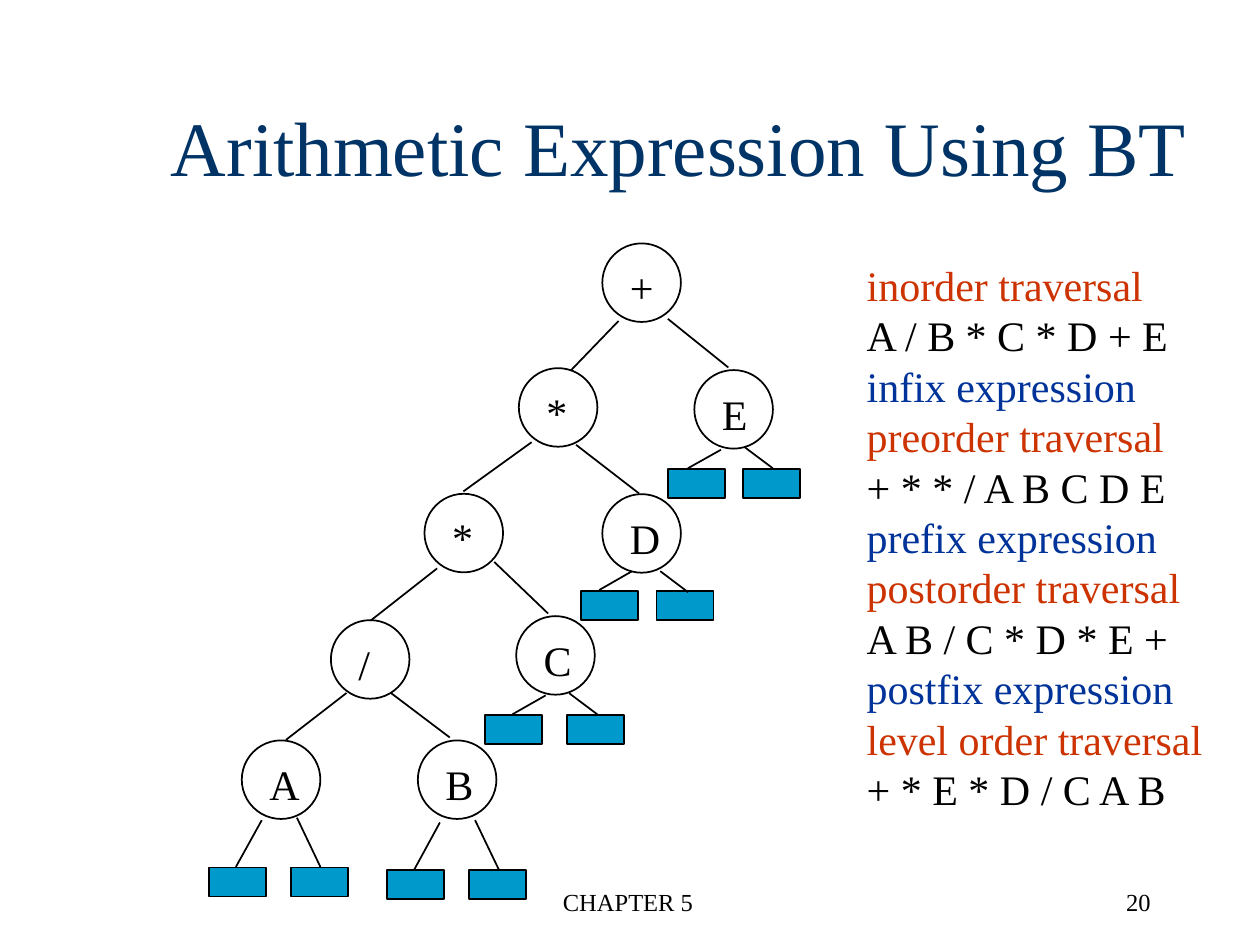
from dataclasses import dataclass

import pptx
import pptx.dml.color
import pptx.enum.shapes
import pptx.enum.text
import pptx.oxml.ns
import pptx.util
from lxml import etree

Pt = pptx.util.Pt
Align = pptx.enum.text.PP_ALIGN
Shape = pptx.enum.shapes.MSO_SHAPE
FONT = "Times New Roman"
COLORS = {
    "title": "003366",
    "order": "CC3300",
    "text": "000000",
    "form": "003399",
    "leaf": "0099CC",
    "line": "000000",
}
NODE = 44.9  # diameter of a node
LEAF = (32.6, 16.6)
PITCH = 28.8  # line height of the 24 pt text

Edge = tuple[float, float, float, float]  # x and y of both ends


@dataclass
class Node:
    label: str
    x: float
    y: float


@dataclass
class Pair:
    """Two empty leaves and the twigs that lead to them."""
    x: float
    y: float
    step: float
    twigs: tuple[Edge, Edge]


NODES = [
    Node("+", 344.2, 139.1),
    Node("*", 296.5, 210.4),
    Node("*", 242.6, 282.2),
    Node("/", 189.1, 354.4),
    Node("A", 138.2, 423.1),
    Node("E", 396.8, 211.5),
    Node("D", 344.2, 282.4),
    Node("C", 295.0, 352.1),
    Node("B", 238.8, 423.1),
]
EDGES: list[Edge] = [
    (353.5, 183.4, 326.2, 211.7),
    (303.8, 252.7, 264.8, 280.8),
    (249.8, 324.8, 211.7, 354.7),
    (198, 396, 163.4, 422.8),
    (381.6, 182.2, 416.2, 210),
    (329.2, 254.2, 365.2, 282),
    (282.4, 321.1, 313.2, 350.6),
    (223.4, 396, 257, 421.4),
]
PAIRS = [
    Pair(119.4, 495.7, 46.8, ((149.6, 468.7, 134.8, 495.4), (169.7, 467.3, 183.1, 495.4))),
    Pair(221.2, 497.1, 46.8, ((251.4, 470, 236.8, 496.8), (271.5, 468.7, 285, 496.8))),
    Pair(277.3, 408.6, 46.8, ((311.8, 397.4, 292.8, 408.2), (325.2, 396.1, 341.3, 408.2))),
    Pair(331.9, 337.7, 43.2, ((361.2, 326.4, 342.4, 337.2), (377.3, 326.4, 393.2, 338.4))),
    Pair(381.6, 267.9, 43.2, ((412, 257, 393.1, 267.6), (425.5, 255.5, 441.6, 267.6))),
]
LINES = [
    ("order", "inorder traversal"),
    ("text", "A / B * C * D + E"),
    ("form", "infix expression"),
    ("order", "preorder traversal"),
    ("text", "+ * * / A B C D E"),
    ("form", "prefix expression"),
    ("order", "postorder traversal"),
    ("text", "A B / C * D * E +"),
    ("form", "postfix expression"),
    ("order", "level order traversal"),
    ("text", "+ * E * D / C A B"),
]


def color(name: str) -> pptx.dml.color.RGBColor:
    return pptx.dml.color.RGBColor.from_string(COLORS[name])


def place(shape, x: float, y: float, w: float, h: float) -> None:
    shape.left, shape.top, shape.width, shape.height = Pt(x), Pt(y), Pt(w), Pt(h)


def write(para, text: str, size: float, ink: str) -> None:
    run = para.add_run()
    run.text = text
    run.font.name = FONT
    run.font.size = Pt(size)
    run.font.color.rgb = color(ink)


def label(slide, text: str, x: float, y: float, w: float, size: float, align):
    """Add a one-line text box and return its paragraph."""
    frame = slide.shapes.add_textbox(Pt(x), Pt(y), Pt(w), Pt(36)).text_frame
    frame.word_wrap = True
    para = frame.paragraphs[0]
    para.alignment = align
    write(para, text, size, "text")
    return para


def outline(slide, kind, x: float, y: float, w: float, h: float):
    shape = slide.shapes.add_shape(kind, Pt(x), Pt(y), Pt(w), Pt(h))
    shape.shadow.inherit = False
    shape.fill.background()
    shape.line.color.rgb = color("line")
    shape.line.width = Pt(1)
    return shape


def draw_edge(slide, edge: Edge) -> None:
    line = slide.shapes.add_connector(
        pptx.enum.shapes.MSO_CONNECTOR.STRAIGHT, *map(Pt, edge))
    line.line.color.rgb = color("line")
    line.line.width = Pt(1)
    etree.SubElement(line._element.spPr, pptx.oxml.ns.qn("a:effectLst"))


def draw_node(slide, node: Node) -> None:
    outline(slide, Shape.OVAL, node.x, node.y, NODE, NODE)
    para = label(slide, node.label, node.x + 8.6, node.y + 6.7, 32, 24, Align.LEFT)
    para.line_spacing = Pt(PITCH)


def draw_pair(slide, pair: Pair) -> None:
    for i, twig in enumerate(pair.twigs):
        leaf = outline(slide, Shape.RECTANGLE, pair.x + i * pair.step, pair.y, *LEAF)
        leaf.fill.solid()
        leaf.fill.fore_color.rgb = color("leaf")
        draw_edge(slide, twig)


def fill_title(slide) -> None:
    title = slide.shapes.title
    place(title, 27.4, 38.2, 721.4, 90)
    frame = title.text_frame
    frame.auto_size = pptx.enum.text.MSO_AUTO_SIZE.NONE
    frame.vertical_anchor = pptx.enum.text.MSO_ANCHOR.MIDDLE
    frame.paragraphs[0].alignment = Align.CENTER
    write(frame.paragraphs[0], "Arithmetic Expression Using BT", 44, "title")


def fill_list(slide) -> None:
    body = slide.placeholders[1]
    place(body, 488, 144.7, 215, 324)
    frame = body.text_frame
    frame.auto_size = pptx.enum.text.MSO_AUTO_SIZE.NONE
    frame.word_wrap = True
    for i, (ink, text) in enumerate(LINES):
        para = frame.add_paragraph() if i else frame.paragraphs[0]
        props = para._p.get_or_add_pPr()
        props.set("marL", "0")
        props.set("indent", "0")
        etree.SubElement(props, pptx.oxml.ns.qn("a:buNone"))
        para.space_before = Pt(0)
        para.line_spacing = Pt(PITCH)
        write(para, text, 24, ink)


def main() -> None:
    deck = pptx.Presentation()
    deck.slide_width, deck.slide_height = Pt(720), Pt(540)
    slide = deck.slides.add_slide(deck.slide_layouts[1])
    fill_title(slide)
    fill_list(slide)
    for edge in EDGES:
        draw_edge(slide, edge)
    for node in NODES:
        draw_node(slide, node)
    for pair in PAIRS:
        draw_pair(slide, pair)
    label(slide, "CHAPTER 5", 244.8, 503.5, 228.2, 14, Align.CENTER)
    label(slide, "20", 514.8, 503.5, 149.8, 14, Align.RIGHT)
    deck.save("out.pptx")


if __name__ == "__main__":
    main()
